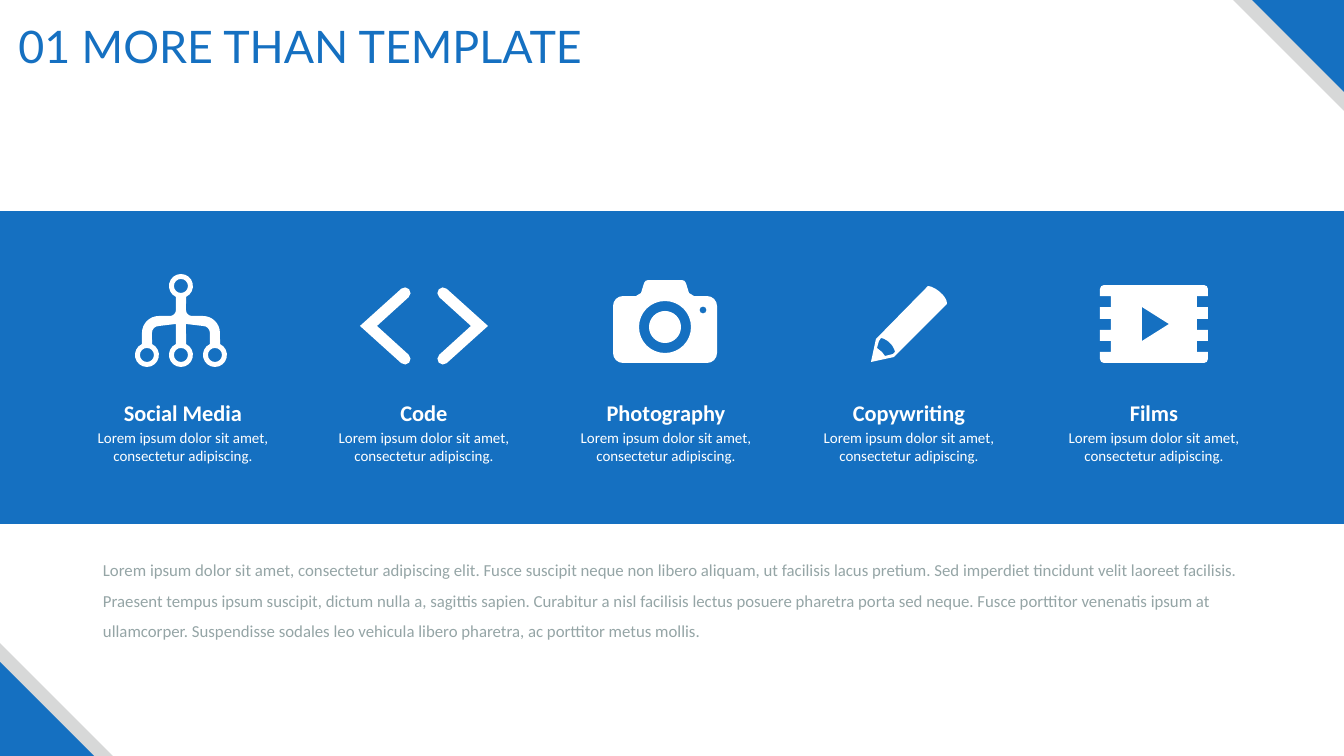
import math

from pptx import Presentation
from pptx import util as u
from pptx.dml.color import RGBColor
from pptx.enum import shapes, text
from pptx.oxml import ns

EMU_PER_PX = 914400 / 100.8
BLUE, GREY, WHITE, BODY = "1570C1", "D7D8D8", "FFFFFF", "95A5A6"
CTRL = "control"  # third item of a point that only steers a curve


def px(n):
    return u.Emu(round(n * EMU_PER_PX))


def rgb(value):
    return RGBColor.from_string(value)


def arc(cx, cy, r, start, end):
    """Curve points of an arc; degrees run clockwise from the right."""
    pieces = math.ceil(abs(end - start) / 90)
    step = math.radians(end - start) / pieces
    pull = 4 / 3 * math.tan(step / 4)
    points = []
    for i in range(pieces + 1):
        a = math.radians(start) + i * step
        dx, dy = r * math.cos(a), r * math.sin(a)
        if i:
            points.append((cx + dx + pull * dy, cy + dy - pull * dx, CTRL))
        points.append((cx + dx, cy + dy))
        if i < pieces:
            points.append((cx + dx - pull * dy, cy + dy + pull * dx, CTRL))
    return points


def circle(cx, cy, r):
    return arc(cx, cy, r, 0, 360)


def mirror(points, axis):
    return [(2 * axis - x, *rest) for x, *rest in reversed(points)]


def network_icon():
    cx, node_y = 181, 355
    half = (arc(cx, 286, 12, -90, 65) + arc(192, 310, 6, 180, 90)
            + arc(203, 333, 17, -90, 0) + arc(215, node_y, 12, -65, 245)
            + arc(203, 333, 7, 0, -90) + [(186, 324)]
            + arc(cx, node_y, 12, -65, 90))
    nodes = [(cx, 286)] + [(cx + dx, node_y) for dx in (-34, 0, 34)]
    return [half + mirror(half, cx)] + [circle(x, y, 7) for x, y in nodes]


def code_icon():
    left = ([(360, 326)] + arc(405, 293, 5.6, -132, 48)
            + [(377, 326)] + arc(405, 359, 5.6, -48, 132))
    return [left, mirror(left, 424)]


def camera_icon():
    cx = 665
    half = (arc(682, 284, 4, -90, -15) + [(689, 293), (694, 296)]
            + arc(707, 306, 10, -90, 0) + arc(707, 353, 10, 0, 90))
    return [half + mirror(half, cx), circle(cx, 327, 26),
            circle(cx, 327, 16), circle(703, 310, 3.5)]


def pencil_icon():
    outline = [(928, 286), (928, 286, CTRL), (933, 286, CTRL), (940, 292),
               (948, 299, CTRL), (947, 304, CTRL), (947, 304),
               (894, 357), (871, 362), (876, 339)]
    tip = [(893, 354), (885, 356), (882, 352), (877, 348), (879, 341), (881, 338),
           (881, 338, CTRL), (885, 338, CTRL), (890, 343),
           (895, 348, CTRL), (895, 352, CTRL), (895, 352)]
    return [outline, tip]


def film_icon():
    half = arc(1204, 289, 4, -90, 0)
    for y in (296, 319, 341):
        half += [(1208, y), (1197, y), (1197, y + 11), (1208, y + 11)]
    half += arc(1204, 359, 4, 0, 90)
    return [half + mirror(half, 1154), [(1142, 307), (1169, 324), (1142, 341)]]


class SlideBuilder:
    def __init__(self, prs):
        self.slide = prs.slides.add_slide(prs.slide_layouts[5])
        self.font = "Calibri"

    def paint(self, sp, color):
        sp.shadow.inherit = False
        sp.fill.solid()
        sp.fill.fore_color.rgb = rgb(color)
        sp.line.fill.background()

    def shape(self, kind, x, y, w, h, color, rotation=0):
        sp = self.slide.shapes.add_shape(kind, px(x), px(y), px(w), px(h))
        sp.rotation = rotation
        self.paint(sp, color)

    def icon(self, contours, color):
        """Draw closed contours as one outline, on a grid of tenths of a px."""
        grid = [[(p[0] * 10, p[1] * 10) for p in c] for c in contours]
        pen = self.slide.shapes.build_freeform(*grid[0][0], scale=EMU_PER_PX / 10)
        for i, points in enumerate(grid):
            if i:
                pen.move_to(*points[0])
            pen.add_line_segments(points[1:], close=True)
        sp = pen.convert_to_shape()
        self.bend(sp, contours)
        self.paint(sp, color)

    def bend(self, sp, contours):
        """Join each pair of control points and its end point into one curve."""
        outline = sp.element.find(".//" + ns.qn("a:path"))
        steering = [flag for c in contours for flag in [CTRL in p for p in c] + [False]]
        curve = None
        for node, steers in zip(list(outline), steering):
            if curve is not None:
                curve.append(node[0])
                outline.remove(node)
                if not steers:
                    curve = None
            elif steers:
                curve = node
                curve.tag = ns.qn("a:cubicBezTo")

    def run(self, p, words, size, color, bold=False, font=None):
        r = p.add_run()
        r.text = words
        r.font.name = font or self.font
        r.font.size = u.Pt(size)
        r.font.bold = bold
        r.font.color.rgb = rgb(color)

    def title(self, words, x, y, w, h):
        sp = self.slide.shapes.title
        sp.left, sp.top, sp.width, sp.height = px(x), px(y), px(w), px(h)
        tf = sp.text_frame
        tf.auto_size = text.MSO_AUTO_SIZE.NONE
        tf.word_wrap = False
        p = tf.paragraphs[0]
        p.alignment = text.PP_ALIGN.CENTER
        self.run(p, words, 32, BLUE, font="Lato")

    def text_box(self, x, y, w, h):
        tf = self.slide.shapes.add_textbox(px(x), px(y), px(w), px(h)).text_frame
        tf.word_wrap = True
        tf.margin_left = tf.margin_right = px(13)
        tf.margin_top = tf.margin_bottom = px(7)
        return tf

    def caption(self, center, heading, detail):
        tf = self.text_box(center - 101, 392, 202, 81)
        p = tf.paragraphs[0]
        p.alignment = text.PP_ALIGN.CENTER
        self.run(p, heading, 16, WHITE, bold=True)
        p = tf.add_paragraph()
        p.alignment = text.PP_ALIGN.CENTER
        p.space_before = u.Pt(2)
        self.run(p, detail, 10.7, WHITE)

    def paragraph(self, words, x, y, w, h):
        p = self.text_box(x, y, w, h).paragraphs[0]
        p.line_spacing = 1.5
        self.run(p, words, 12, BODY)


def main():
    width, height = 1344, 756
    prs = Presentation()
    prs.slide_width, prs.slide_height = px(width), px(height)
    s = SlideBuilder(prs)

    triangle = shapes.MSO_SHAPE.RIGHT_TRIANGLE
    for side, color in ((111, GREY), (92, BLUE)):
        s.shape(triangle, width - side, 0, side, side, color, rotation=180)
    for side, color in ((113, GREY), (94, BLUE)):
        s.shape(triangle, 0, height - side, side, side, color)
    s.title("01 MORE THAN TEMPLATE", 2, 13, 597, 65)
    s.shape(shapes.MSO_SHAPE.RECTANGLE, 0, 211, width, 313, BLUE)

    services = [
        (183, "Social Media", network_icon()),
        (424, "Code", code_icon()),
        (666, "Photography", camera_icon()),
        (909, "Copywriting", pencil_icon()),
        (1154, "Films", film_icon()),
    ]
    for center, heading, contours in services:
        s.caption(center, heading, "Lorem ipsum dolor sit amet, consectetur adipiscing.")
        s.icon(contours, WHITE)

    s.paragraph(
        "Lorem ipsum dolor sit amet, consectetur adipiscing elit. Fusce suscipit neque "
        "non libero aliquam, ut facilisis lacus pretium. Sed imperdiet tincidunt velit "
        "laoreet facilisis. Praesent tempus ipsum suscipit, dictum nulla a, sagittis "
        "sapien. Curabitur a nisl facilisis lectus posuere pharetra porta sed neque. "
        "Fusce porttitor venenatis ipsum at ullamcorper. Suspendisse sodales leo "
        "vehicula libero pharetra, ac porttitor metus mollis.", 90, 543, 1165, 120)
    prs.save("out.pptx")


if __name__ == "__main__":
    main()
